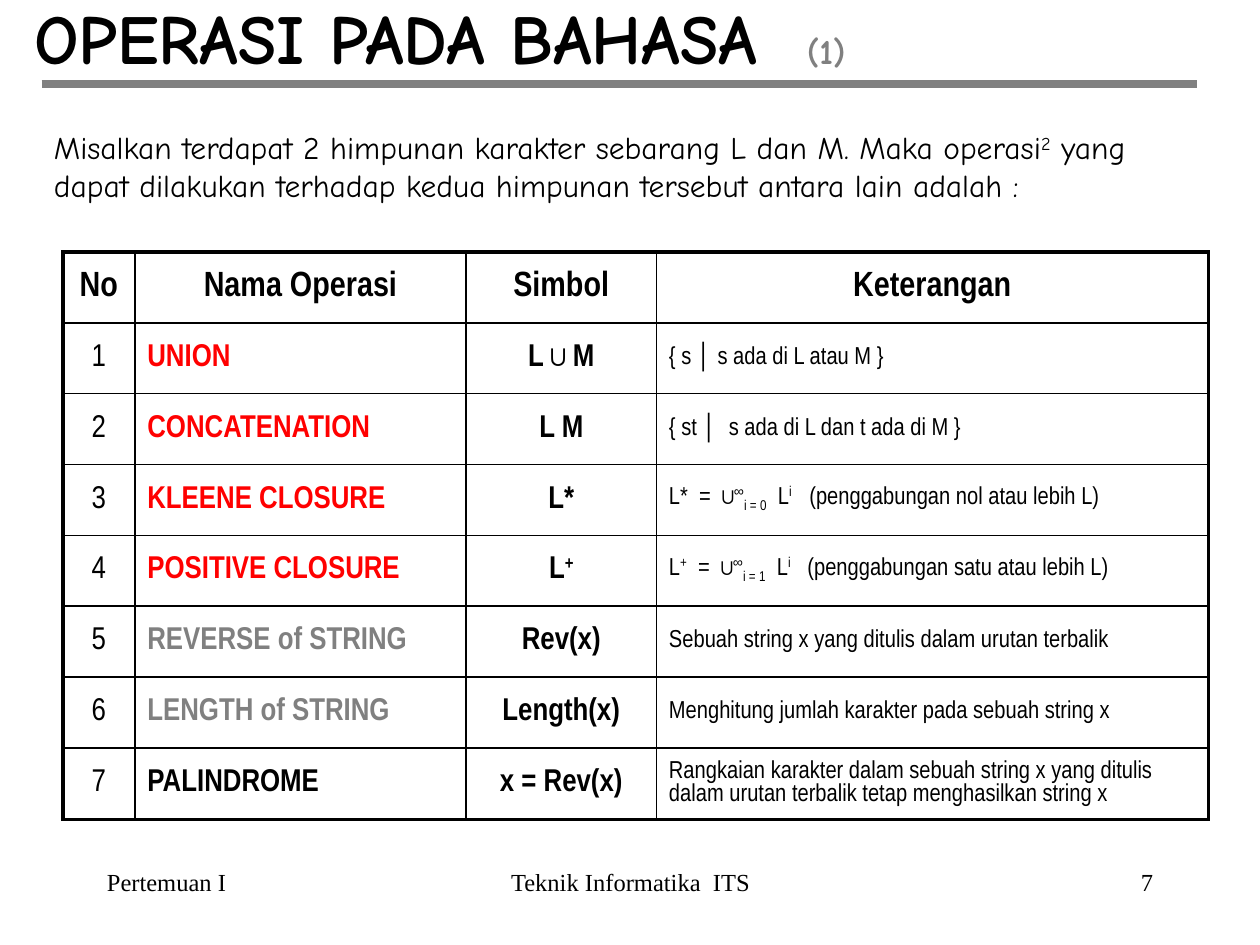
import pptx
import pptx.dml.color
import pptx.enum.shapes
import pptx.enum.text
import pptx.oxml.ns
import pptx.util
from lxml import etree

Inches, Pt = pptx.util.Inches, pptx.util.Pt
ALIGN = pptx.enum.text.PP_ALIGN
MIDDLE = pptx.enum.text.MSO_ANCHOR.MIDDLE
BLACK, RED, GRAY = "000000", "FF0000", "808080"
COMIC, NARROW, SERIF = "Comic Neue", "Arial Narrow", "Times New Roman"
RAISED, LOWERED = {"baseline": 30}, {"baseline": -25}

# A text is a list of spans: plain strings, or (string, format changes).
TITLE = ["OPERASI PADA BAHASA  ", ("(1)", {"size": 20, "color": GRAY})]
INTRO = [
    "Misalkan terdapat 2 himpunan karakter sebarang L dan M. Maka operasi",
    ("2", RAISED),
    " yang dapat dilakukan terhadap kedua himpunan tersebut antara lain adalah :",
]
HEADERS = ["No", "Nama Operasi", "Simbol", "Keterangan"]
OPERATIONS = [  # name, name colour, symbol, description
    ("UNION", RED, ["L ∪ M"], ["{ s │ s ada di L atau M }"]),
    ("CONCATENATION", RED, ["L M"], ["{ st │  s ada di L dan t ada di M }"]),
    ("KLEENE CLOSURE", RED, ["L*"],
     ["L*  =  ∪", ("∞", RAISED), ("i = 0", LOWERED), "  L", ("i  ", RAISED),
      "  (penggabungan nol atau lebih L)"]),
    ("POSITIVE CLOSURE", RED, ["L", ("+", RAISED)],
     ["L", ("+", RAISED), "  =  ∪", ("∞", RAISED), ("i = 1", LOWERED), "  L",
      ("i", RAISED), "   (penggabungan satu atau lebih L)"]),
    ("REVERSE of STRING", GRAY, ["Rev(x)"],
     ["Sebuah string x yang ditulis dalam urutan terbalik"]),
    ("LENGTH of STRING", GRAY, ["Length(x)"],
     ["Menghitung jumlah karakter pada sebuah string x"]),
    ("PALINDROME", BLACK, ["x = Rev(x)"],
     ["Rangkaian karakter dalam sebuah string x yang ditulis dalam urutan "
      "terbalik tetap menghasilkan string x"]),
]
COLUMN_WIDTHS = [0.57, 2.63, 1.51, 4.38]
TABLE_LEFT, TABLE_TOP, TABLE_HEIGHT = 0.5, 2, 4.5
FOOTERS = [  # text, left, width, alignment
    ("Pertemuan I", 0.75, 2.08, ALIGN.LEFT),
    ("Teknik Informatika  ITS", 3.42, 3.17, ALIGN.CENTER),
    ("7", 7.17, 2.08, ALIGN.RIGHT),
]


def rgb(color):
    return pptx.dml.color.RGBColor.from_string(color)


def add_element(parent, tag, **attributes):
    return etree.SubElement(parent, pptx.oxml.ns.qn(tag), **attributes)


def write(frame, spans, align=ALIGN.LEFT, before=0, **base):
    """Fill the first paragraph; before is the space above in percent of a line."""
    para = frame.paragraphs[0]
    para.alignment = align
    if before:
        space = add_element(para._p.get_or_add_pPr(), "a:spcBef")
        add_element(space, "a:spcPct", val=str(before * 1000))
    for item in spans:
        text, changes = (item, {}) if isinstance(item, str) else item
        style = {**base, **changes}
        span = para.add_run()
        span.text = text
        span.font.name = style["font"]
        span.font.size = Pt(style["size"])
        span.font.bold = style.get("bold", False)
        span.font.color.rgb = rgb(style.get("color", BLACK))
        if "baseline" in style:
            span.font._element.set("baseline", str(style["baseline"] * 1000))


def add_text(page, spans, left, top, width, height, **style):
    box = page.shapes.add_textbox(*map(Inches, (left, top, width, height)))
    box.text_frame.word_wrap = True
    write(box.text_frame, spans, **style)


def set_borders(cell, widths):
    properties = cell._tc.get_or_add_tcPr()
    for side in "LRTB":
        line = add_element(properties, "a:ln" + side, w=str(Pt(widths[side])))
        fill = add_element(line, "a:solidFill")
        add_element(fill, "a:srgbClr", val=BLACK)


def add_title(page):
    title = page.shapes.title
    title.left, title.top = Inches(0.17), Inches(0.08)
    title.width, title.height = Inches(8.5), Inches(0.42)
    frame = title.text_frame
    frame.auto_size = pptx.enum.text.MSO_AUTO_SIZE.NONE
    frame.vertical_anchor = MIDDLE
    write(frame, TITLE, font=COMIC, size=40, bold=True)

    rule = page.shapes.add_connector(
        pptx.enum.shapes.MSO_CONNECTOR.STRAIGHT,
        Inches(0.33), Inches(0.67), Inches(9.5), Inches(0.67))
    rule.line.color.rgb = rgb(GRAY)
    rule.line.width = Pt(4.5)
    add_element(rule._element.spPr, "a:effectLst")


def add_operations_table(page):
    center = {"align": ALIGN.CENTER}
    rows = [[([text], {"size": 20, "bold": True, **center}) for text in HEADERS]]
    for number, (name, color, symbol, description) in enumerate(OPERATIONS, 1):
        rows.append([
            ([str(number)], {"size": 18, **center}),
            ([name], {"size": 18, "bold": True, "color": color}),
            (symbol, {"size": 18, "bold": True, **center}),
            (description, {"size": 14}),
        ])

    last_row, last_column = len(rows) - 1, len(HEADERS) - 1
    table = page.shapes.add_table(
        len(rows), len(HEADERS), Inches(TABLE_LEFT), Inches(TABLE_TOP),
        Inches(sum(COLUMN_WIDTHS)), Inches(TABLE_HEIGHT)).table
    table.first_row = table.horz_banding = False
    for column, width in zip(table.columns, COLUMN_WIDTHS):
        column.width = Inches(width)
    for r, row in enumerate(rows):
        for c, (spans, style) in enumerate(row):
            cell = table.cell(r, c)
            cell.vertical_anchor = MIDDLE
            outer = {"L": c == 0, "R": c == last_column,
                     "T": r == 0, "B": r == last_row}
            set_borders(cell, {side: 2.25 if edge else 1
                               for side, edge in outer.items()})
            cell.fill.background()
            write(cell.text_frame, spans, before=20, font=NARROW, **style)


def main():
    deck = pptx.Presentation()
    deck.slide_width, deck.slide_height = Inches(10), Inches(7.5)
    page = deck.slides.add_slide(deck.slide_layouts.get_by_name("Title Only"))
    for text, left, width, align in FOOTERS:
        add_text(page, [text], left, 6.83, width, 0.5,
                 align=align, font=SERIF, size=14)
    add_title(page)
    add_operations_table(page)
    add_text(page, INTRO, 0.33, 0.97, 9.33, 0.7, before=50, font=COMIC, size=18)
    deck.save("out.pptx")


if __name__ == "__main__":
    main()
